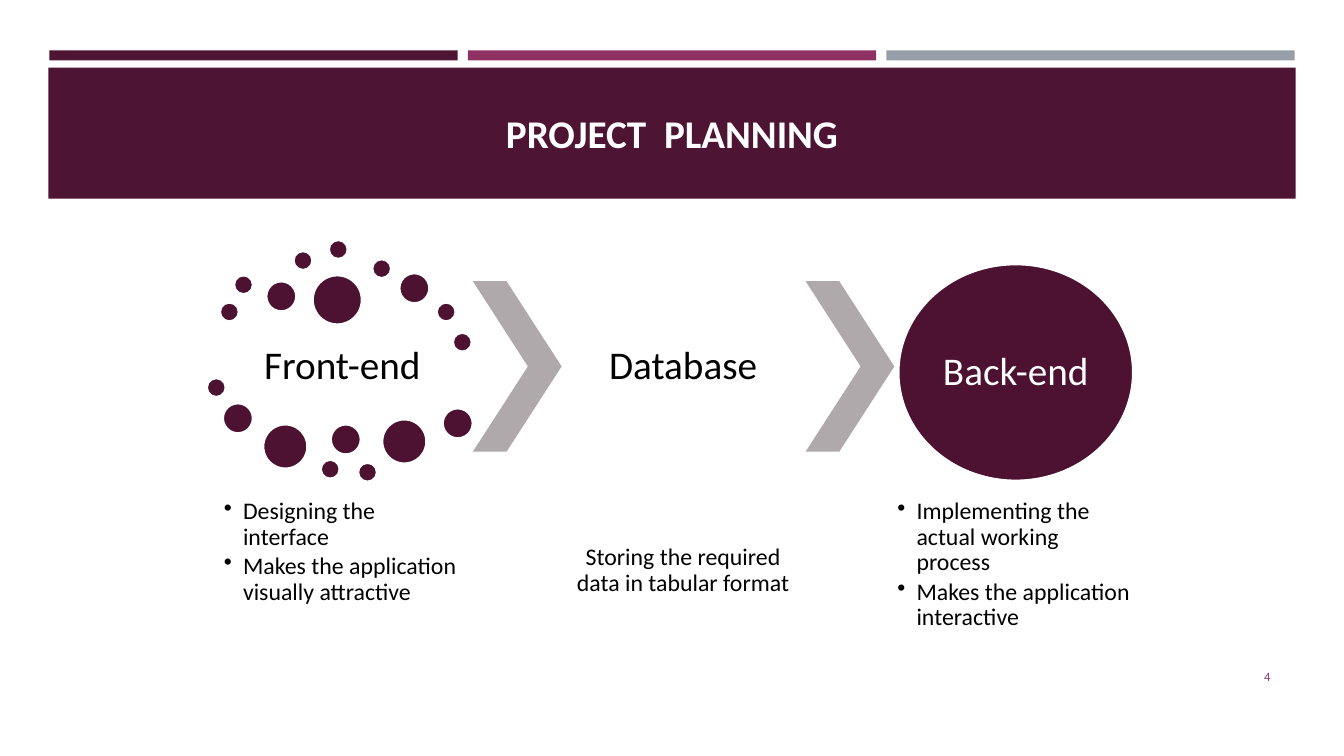
from lxml import etree
from pptx import Presentation
from pptx.dml.color import RGBColor
from pptx.enum import shapes, text
from pptx.oxml.ns import qn
from pptx.util import Inches, Pt

PLUM, DOT_PLUM, BERRY, STEEL = "4D1434", "4D1132", "903163", "969FA7"
GREY, WHITE, BLACK = "B0A9AC", "FFFFFF", "000000"
FONT = "Calibri"
COLUMN_WIDTH = 2.41
SMALL, MEDIUM, LARGE, LARGEST = 0.19, 0.3, 0.44, 0.49

# Left edge, top edge and diameter of each dot around "Front-end"
DOTS = [
    (2.18, 3, SMALL), (2.32, 2.73, SMALL), (2.64, 2.79, MEDIUM),
    (2.91, 2.49, SMALL), (3.26, 2.38, SMALL), (3.69, 2.57, SMALL),
    (3.96, 2.71, MEDIUM), (4.33, 3, SMALL), (4.49, 3.3, SMALL),
    (3.1, 2.73, LARGEST), (2.05, 3.75, SMALL), (2.21, 4, MEDIUM),
    (2.61, 4.21, LARGE), (3.18, 4.56, SMALL), (3.28, 4.21, MEDIUM),
    (3.55, 4.59, SMALL), (3.79, 4.16, LARGE), (4.39, 4.05, MEDIUM),
]


def rgb(color):
    return RGBColor.from_string(color)


def add_bullet(paragraph, color):
    properties = paragraph._p.get_or_add_pPr()
    properties.set("marL", str(Inches(0.19)))
    properties.set("indent", str(-Inches(0.19)))
    bullet_color = etree.SubElement(properties, qn("a:buClr"))
    etree.SubElement(bullet_color, qn("a:srgbClr"), val=color)
    etree.SubElement(properties, qn("a:buChar"), char="•")


def write(shape, *lines, size, color=BLACK, bold=False, bullets=False, inset=0,
          align=text.PP_ALIGN.CENTER, anchor=text.MSO_ANCHOR.MIDDLE, spacing=0.9):
    """Fill a shape or text box with one paragraph per line."""
    frame = shape.text_frame
    frame.word_wrap = True
    frame.vertical_anchor = anchor
    frame.margin_left = frame.margin_right = Inches(inset)
    frame.margin_top = frame.margin_bottom = Inches(inset)
    for index, line in enumerate(lines):
        paragraph = frame.add_paragraph() if index else frame.paragraphs[0]
        paragraph.alignment = align
        paragraph.line_spacing = spacing
        paragraph.space_before = Pt(2.5 if index else 0)
        if bullets:
            add_bullet(paragraph, color)
        run = paragraph.add_run()
        run.text = line
        run.font.name = FONT
        run.font.size = Pt(size)
        run.font.bold = bold
        run.font.color.rgb = rgb(color)


def add_text(slide, left, top, width, height, *lines, **style):
    box = slide.shapes.add_textbox(*map(Inches, (left, top, width, height)))
    write(box, *lines, **style)


def add_filled(slide, kind, left, top, width, height, fill, outline=None):
    shape = slide.shapes.add_shape(kind, *map(Inches, (left, top, width, height)))
    shape.shadow.inherit = False
    shape.fill.solid()
    shape.fill.fore_color.rgb = rgb(fill)
    if outline:
        shape.line.color.rgb = rgb(outline)
        shape.line.width = Pt(1.75)
    else:
        shape.line.fill.background()
    return shape


def add_header(slide):
    rectangle = shapes.MSO_SHAPE.RECTANGLE
    for index, color in enumerate((PLUM, BERRY, STEEL)):
        add_filled(slide, rectangle, 0.49 + 4.15 * index, 0.5, 4.05, 0.1, color)
    band = add_filled(slide, rectangle, 0.48, 0.67, 12.37, 1.3, PLUM)
    write(band, "PROJECT  PLANNING", size=28, color=WHITE, bold=True, spacing=1)


def add_bullets(slide, left, *lines):
    add_text(slide, left, 4.92, COLUMN_WIDTH, 1.49, *lines, size=17, bullets=True,
             inset=0.03, align=text.PP_ALIGN.LEFT, anchor=text.MSO_ANCHOR.TOP)


def add_chevron(slide, left):
    chevron = add_filled(slide, shapes.MSO_SHAPE.CHEVRON, left, 2.79, 0.88, 1.69, GREY)
    chevron.adjustments[0] = 0.62


def add_front_end(slide):
    add_text(slide, 2.19, 3.24, COLUMN_WIDTH, 0.79, "Front-end", size=28, inset=0.04)
    add_bullets(slide, 2.19, "Designing the interface",
                "Makes the application visually attractive")
    for left, top, diameter in DOTS:
        add_filled(slide, shapes.MSO_SHAPE.OVAL, left, top, diameter, diameter,
                   DOT_PLUM, outline=WHITE)


def add_database(slide):
    add_text(slide, 5.57, 2.79, COLUMN_WIDTH, 1.69, "Database", size=28, inset=0.04)
    add_text(slide, 5.57, 4.92, COLUMN_WIDTH, 1.49,
             "Storing the required data in tabular format", size=17, inset=0.02)


def add_back_end(slide):
    circle = add_filled(slide, shapes.MSO_SHAPE.OVAL, 8.91, 2.62, 2.33, 2.15,
                        DOT_PLUM, outline=WHITE)
    write(circle, "Back-end", size=28, color=WHITE)
    add_bullets(slide, 8.87, "Implementing the actual working process",
                "Makes the application interactive")


def main():
    deck = Presentation()
    deck.slide_width, deck.slide_height = Inches(13.33), Inches(7.5)
    slide = deck.slides.add_slide(deck.slide_layouts[6])
    add_header(slide)
    add_front_end(slide)
    add_chevron(slide, 4.69)
    add_database(slide)
    add_chevron(slide, 7.99)
    add_back_end(slide)
    add_text(slide, 11.55, 6.51, 1.15, 0.4, "4", size=9, color=BERRY, inset=0.1,
             align=text.PP_ALIGN.RIGHT, spacing=1)
    deck.save("out.pptx")


if __name__ == "__main__":
    main()
